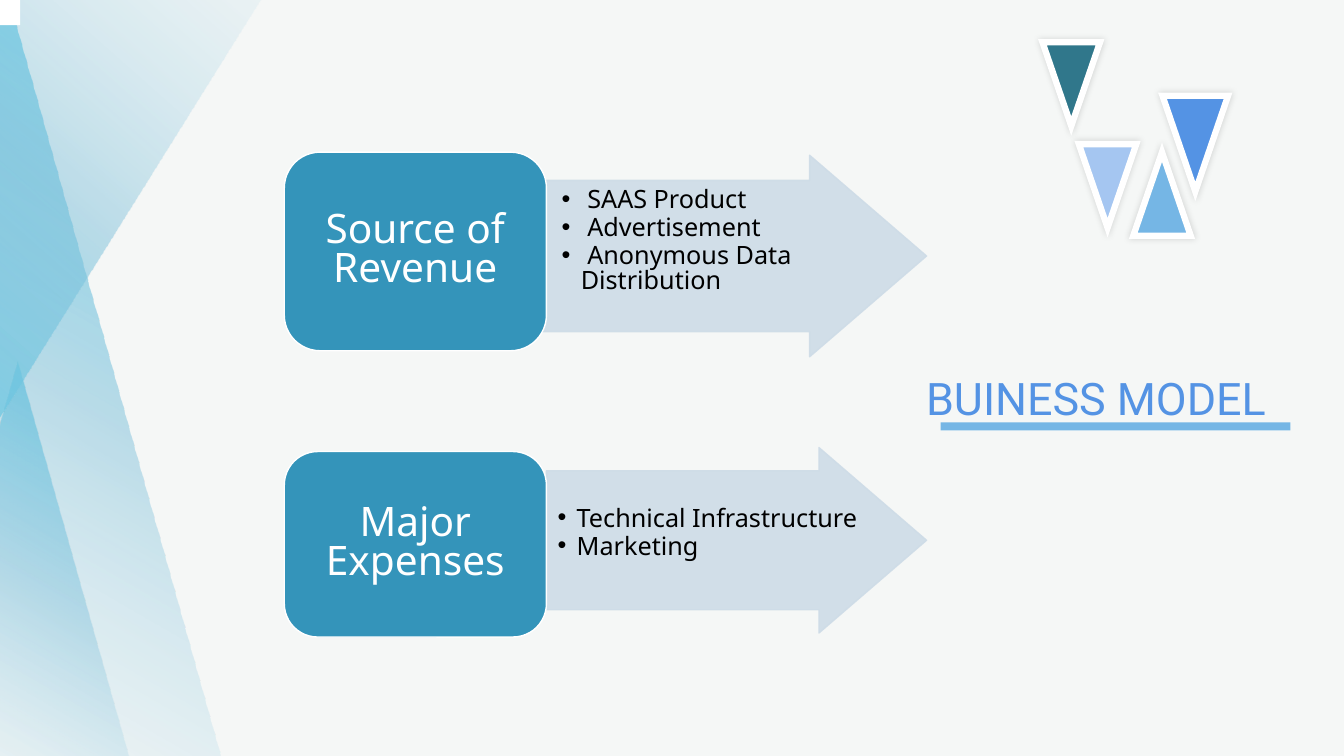
import pptx
import pptx.util
import pptx.dml.color
import pptx.enum.shapes
import pptx.enum.text
import pptx.oxml.ns
from lxml import etree

Inches = pptx.util.Inches
Pt = pptx.util.Pt
RGBColor = pptx.dml.color.RGBColor
Preset = pptx.enum.shapes.MSO_SHAPE
Align = pptx.enum.text.PP_ALIGN
Anchor = pptx.enum.text.MSO_ANCHOR
qn = pptx.oxml.ns.qn

BACKGROUND = RGBColor(0xF5, 0xF7, 0xF6)
WHITE = RGBColor(0xFF, 0xFF, 0xFF)
BLACK = RGBColor(0, 0, 0)
BLUE = RGBColor(0x54, 0x93, 0xE4)
SKY = RGBColor(0x75, 0xB6, 0xE5)
PALE_BLUE = RGBColor(0xA5, 0xC6, 0xF1)
TEAL = RGBColor(0x30, 0x77, 0x8B)
CARD = RGBColor(0x34, 0x94, 0xBA)
ARROW = RGBColor(0xCE, 0xDC, 0xE7)
GRADIENT = (
    (0, RGBColor(0x5A, 0xCD, 0xE8), 100),
    (50, RGBColor(0x7F, 0xC1, 0xDB), 50),
    (100, RGBColor(0xD4, 0xEA, 0xF3), 0),
)


def add_node(parent, tag, **attributes):
    node = etree.SubElement(parent, qn(tag))
    for name, value in attributes.items():
        node.set(name, str(value))
    return node


def add_color(parent, color, opacity):
    node = add_node(parent, "a:srgbClr", val=color)
    add_node(node, "a:alpha", val=opacity * 1000)


class BusinessSlide:
    heading_font = "Roboto"
    body_font = "Noto Sans"
    line_spacing = 0.8

    def __init__(self, presentation):
        self.slide = presentation.slides.add_slide(presentation.slide_layouts[3])
        fill = self.slide.background.fill
        fill.solid()
        fill.fore_color.rgb = BACKGROUND

    def shape(self, preset, box, color=None, line=None, line_width=1, rotation=0):
        shape = self.slide.shapes.add_shape(preset, *map(Inches, box))
        shape.shadow.inherit = False
        shape.rotation = rotation
        if color is not None:
            shape.fill.solid()
            shape.fill.fore_color.rgb = color
        if line is None:
            shape.line.fill.background()
        else:
            shape.line.color.rgb = line
            shape.line.width = Pt(line_width)
        return shape

    def gradient_triangle(self, box, rotation=0):
        shape = self.shape(Preset.ISOSCELES_TRIANGLE, box, rotation=rotation)
        properties = shape.element.spPr
        gradient = add_node(properties, "a:gradFill", rotWithShape=1)
        stops = add_node(gradient, "a:gsLst")
        for position, color, opacity in GRADIENT:
            add_color(add_node(stops, "a:gs", pos=position * 1000), color, opacity)
        add_node(gradient, "a:lin", ang=120 * 60000, scaled=0)
        properties.insert(2, gradient)

    def framed_triangle(self, box, color, rotation=180):
        shape = self.shape(Preset.ISOSCELES_TRIANGLE, box, color, WHITE, 4.5, rotation)
        properties = shape.element.spPr
        add_node(properties.find(qn("a:ln")), "a:miter", lim=800000)
        effects = properties.find(qn("a:effectLst"))
        shadow = add_node(effects, "a:outerShdw", blurRad=Pt(5), dist=0, dir=0)
        add_color(shadow, BLACK, 15)

    def arrow(self, box, head):
        shape = self.shape(Preset.RIGHT_ARROW, box, ARROW, ARROW)
        shape.adjustments[0] = 0.75
        shape.adjustments[1] = head
        for color in shape.element.spPr.iter(qn("a:srgbClr")):
            add_node(color, "a:alpha", val=90000)

    def card(self, box, text):
        shape = self.shape(Preset.ROUNDED_RECTANGLE, box, CARD, WHITE)
        shape.adjustments[0] = 0.18
        frame = shape.text_frame
        frame.word_wrap = True
        frame.vertical_anchor = Anchor.MIDDLE
        frame.margin_left = frame.margin_right = Inches(0.2)
        frame.margin_top = frame.margin_bottom = Inches(0.14)
        paragraph = frame.paragraphs[0]
        paragraph.alignment = Align.CENTER
        paragraph.line_spacing = self.line_spacing
        self.run(paragraph, text, 29, self.body_font, WHITE)

    def run(self, paragraph, text, size, font, color):
        run = paragraph.add_run()
        run.text = text
        run.font.size = Pt(size)
        run.font.name = font
        run.font.color.rgb = color

    def place(self, placeholder, box):
        placeholder.left, placeholder.top, placeholder.width, placeholder.height = map(Inches, box)
        placeholder.element.getparent().append(placeholder.element)
        frame = placeholder.text_frame
        frame.word_wrap = True
        frame.auto_size = pptx.enum.text.MSO_AUTO_SIZE.NONE
        frame.vertical_anchor = Anchor.TOP
        return frame

    def title(self, box, text):
        paragraph = self.place(self.slide.shapes.title, box).paragraphs[0]
        paragraph.alignment = Align.RIGHT
        self.run(paragraph, text, 32, self.heading_font, BLUE)

    def bullets(self, index, box, items):
        frame = self.place(self.slide.placeholders[index], box)
        for number, item in enumerate(items):
            paragraph = frame.add_paragraph() if number else frame.paragraphs[0]
            paragraph.line_spacing = self.line_spacing
            paragraph.space_before = Pt(0)
            paragraph.space_after = Pt(2.7)
            properties = paragraph._p.get_or_add_pPr()
            properties.set("marL", str(Inches(0.19)))
            properties.set("indent", str(-Inches(0.19)))
            add_node(properties, "a:buFont", typeface="Arial")
            add_node(properties, "a:buChar", char="•")
            self.run(paragraph, item, 18, self.body_font, BLACK)


def main():
    presentation = pptx.Presentation()
    presentation.slide_width = Inches(13.33)
    presentation.slide_height = Inches(7.5)
    page = BusinessSlide(presentation)

    page.gradient_triangle((-1, 3.59, 2.34, 4.16))
    page.gradient_triangle((-2.19, -0.32, 4.38, 7.82))
    page.gradient_triangle((-1.74, -1.16, 4.21, 5.69), 191.6)

    page.title((8.11, 3.63, 4.55, 0.64), "BUINESS MODEL")
    page.shape(Preset.RECTANGLE, (9.33, 4.19, 3.47, 0.08), SKY)
    page.shape(Preset.RECTANGLE, (0, 0, 0.2, 0.25), WHITE)

    page.framed_triangle((11.24, 1.51, 0.57, 0.83), SKY, 0)
    page.framed_triangle((10.7, 1.43, 0.57, 0.83), PALE_BLUE)
    page.framed_triangle((10.34, 0.42, 0.57, 0.83), TEAL)
    page.framed_triangle((11.53, 0.95, 0.65, 0.95), BLUE)

    page.arrow((4.98, 1.54, 4.21, 2), 0.58)
    page.arrow((5.42, 4.44, 3.77, 1.84), 0.58)
    page.card((2.82, 1.51, 2.6, 1.97), "Source of Revenue")
    page.card((2.82, 4.48, 2.6, 1.84), "Major Expenses")
    page.bullets(1, (5.47, 1.83, 3.72, 1.28),
                 (" SAAS Product", " Advertisement", " Anonymous Data Distribution"))
    page.bullets(2, (5.43, 4.99, 3.72, 0.99),
                 ("Technical Infrastructure", "Marketing"))

    presentation.save("out.pptx")


if __name__ == "__main__":
    main()
